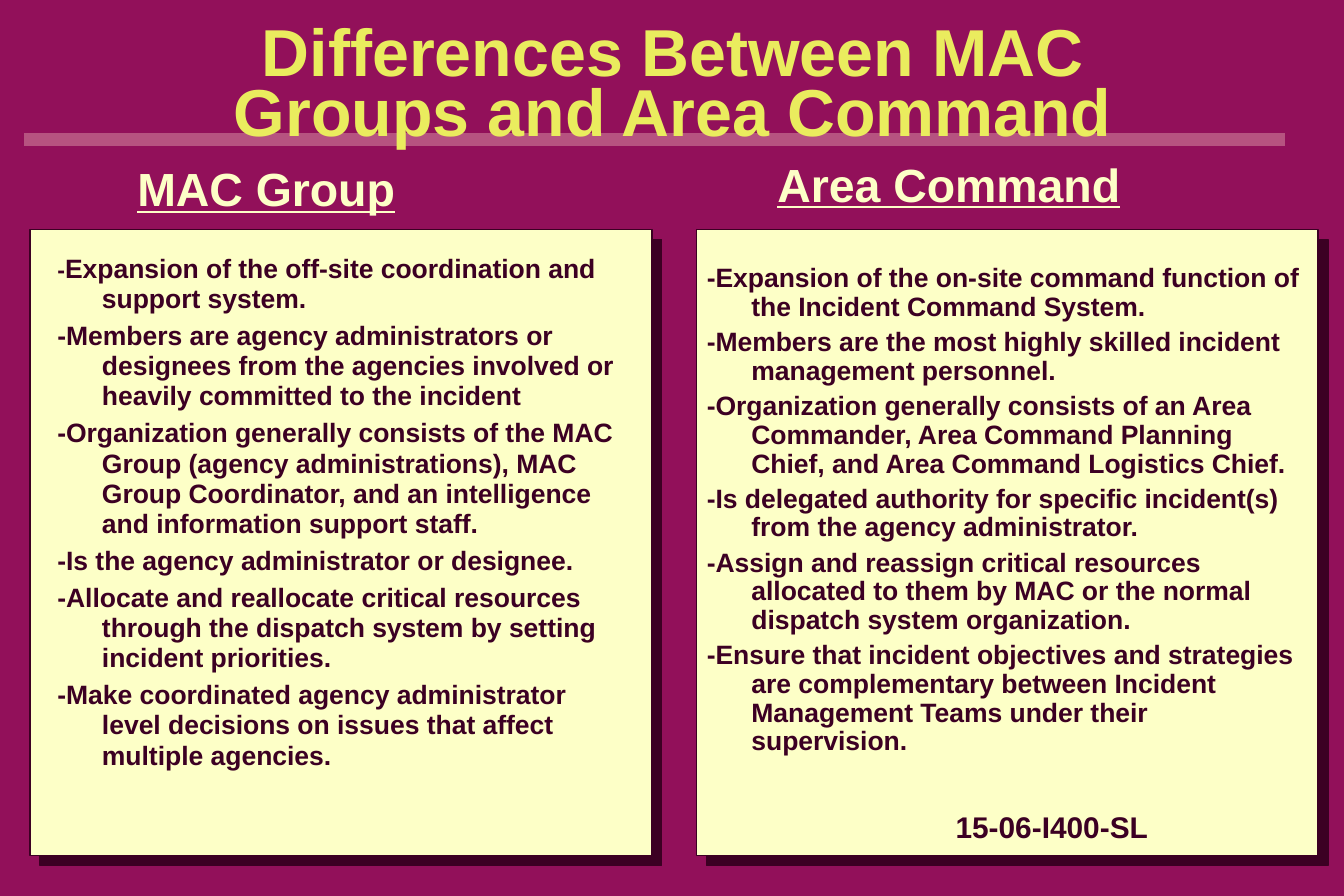
from lxml import etree
from pptx import Presentation
from pptx.dml.color import RGBColor
from pptx.enum.shapes import MSO_CONNECTOR, MSO_SHAPE
from pptx.enum.text import MSO_ANCHOR, PP_ALIGN
from pptx.oxml.ns import qn
from pptx.util import Cm, Pt

STRAIGHT = MSO_CONNECTOR.STRAIGHT
RECTANGLE = MSO_SHAPE.RECTANGLE
MIDDLE, TOP = MSO_ANCHOR.MIDDLE, MSO_ANCHOR.TOP
CENTER, LEFT = PP_ALIGN.CENTER, PP_ALIGN.LEFT

COLORS = {
    "background": "92105A",
    "rule": "B65380",
    "cream": "FDFFC7",
    "dark": "3C0023",
    "title": "EAEC5E",
}
FONT = "Arial"
HANGING = Cm(0.95)

MAC_POINTS = [
    [("-", 14), ("Expansion of the off-site coordination and support system.", 16)],
    "-Members are agency administrators or designees from the agencies involved "
    "or heavily committed to the incident",
    "-Organization generally consists of the MAC Group (agency administrations), "
    "MAC Group Coordinator, and an intelligence and information support staff.",
    "-Is the agency administrator or designee.",
    "-Allocate and reallocate critical resources through the dispatch system by "
    "setting incident priorities.",
    "-Make coordinated agency administrator level decisions on issues that affect "
    "multiple agencies.",
]
AREA_POINTS = [
    "-Expansion of the on-site command function of the Incident Command System.",
    "-Members are the most highly skilled incident management personnel.",
    "-Organization generally consists of an Area Commander, Area Command Planning "
    "Chief, and Area Command Logistics Chief.",
    "-Is delegated authority for specific incident(s) from the agency administrator.",
    "-Assign and reassign critical resources allocated to them by MAC or the normal "
    "dispatch system organization.",
    "-Ensure that incident objectives and strategies are complementary between "
    "Incident Management Teams under their supervision.",
]


def rgb(name):
    return RGBColor.from_string(COLORS[name])


def set_values(target, values):
    for name, value in values.items():
        setattr(target, name, value)


class SlideBuilder:
    def __init__(self, deck):
        self.slide = deck.slides.add_slide(deck.slide_layouts[6])
        fill = self.slide.background.fill
        fill.solid()
        fill.fore_color.rgb = rgb("background")

    def rule(self, left, right, y, weight):
        line = self.slide.shapes.add_connector(STRAIGHT, Cm(left), Cm(y), Cm(right), Cm(y))
        line.line.color.rgb = rgb("rule")
        line.line.width = Pt(weight)
        etree.SubElement(line._element.spPr, qn("a:effectLst"))

    def panel(self, left, top, width, height):
        """Cream rectangle with a hard shadow to the lower right."""
        panel = self.slide.shapes.add_shape(
            RECTANGLE, Cm(left), Cm(top), Cm(width), Cm(height))
        panel.fill.solid()
        panel.fill.fore_color.rgb = rgb("cream")
        panel.line.color.rgb = rgb("dark")
        panel.line.width = Pt(1)
        panel.shadow.inherit = False
        effects = panel._element.spPr.find(qn("a:effectLst"))
        shadow = etree.SubElement(effects, qn("a:outerShdw"), {
            "blurRad": "0", "dist": str(Pt(8.5)), "dir": str(45 * 60000),
            "algn": "ctr", "rotWithShape": "0"})
        etree.SubElement(shadow, qn("a:srgbClr"), val=COLORS["dark"])

    def text(self, bounds, paragraphs, size, color, spacing, before=0,
             align=LEFT, anchor=TOP, hanging=True, underline=False):
        """Each paragraph is a string or a list of (string, size) spans."""
        box = self.slide.shapes.add_textbox(*(Cm(length) for length in bounds))
        frame = box.text_frame
        set_values(frame, {"word_wrap": True, "vertical_anchor": anchor})
        for index, content in enumerate(paragraphs):
            para = frame.add_paragraph() if index else frame.paragraphs[0]
            set_values(para, {
                "alignment": align,
                "line_spacing": spacing,
                "space_before": Pt(before if index else 0),
            })
            if hanging:
                properties = para._p.get_or_add_pPr()
                properties.set("marL", str(HANGING))
                properties.set("indent", str(-HANGING))
            spans = [(content, size)] if isinstance(content, str) else content
            for words, span_size in spans:
                span = para.add_run()
                span.text = words
                set_values(span.font, {
                    "name": FONT, "size": Pt(span_size),
                    "bold": True, "underline": underline,
                })
                span.font.color.rgb = rgb(color)


def main():
    deck = Presentation()
    set_values(deck, {"slide_width": Cm(28.58), "slide_height": Cm(19.05)})
    page = SlideBuilder(deck)

    page.rule(0.51, 27.33, 2.97, 8)
    page.text((3.51, 0.3, 21.59, 3.18),
              ["Differences Between MAC Groups and Area Command"],
              40, "title", 0.75, align=CENTER, anchor=MIDDLE, hanging=False)

    columns = [
        ("MAC Group", (2.67, 3.05, 7.9, 1.68), 0.64,
         MAC_POINTS, (0.97, 5.28, 12.7, 13.13), 0.95),
        ("Area Command", (16.28, 2.95, 9.7, 1.68), 14.81,
         AREA_POINTS, (14.78, 5.51, 13.26, 11.43), 0.9),
    ]
    for heading, heading_bounds, panel_left, points, bounds, spacing in columns:
        page.panel(panel_left, 4.88, 13.22, 13.31)
        page.text(bounds, points, 16, "dark", spacing, before=4)
        page.text(heading_bounds, [heading], 28, "cream", 1.2, underline=True)

    page.text((20.07, 17.27, 6.5, 0.79), ["15-06-I400-SL"], 18, "dark", 0.7)
    deck.save("out.pptx")


if __name__ == "__main__":
    main()
